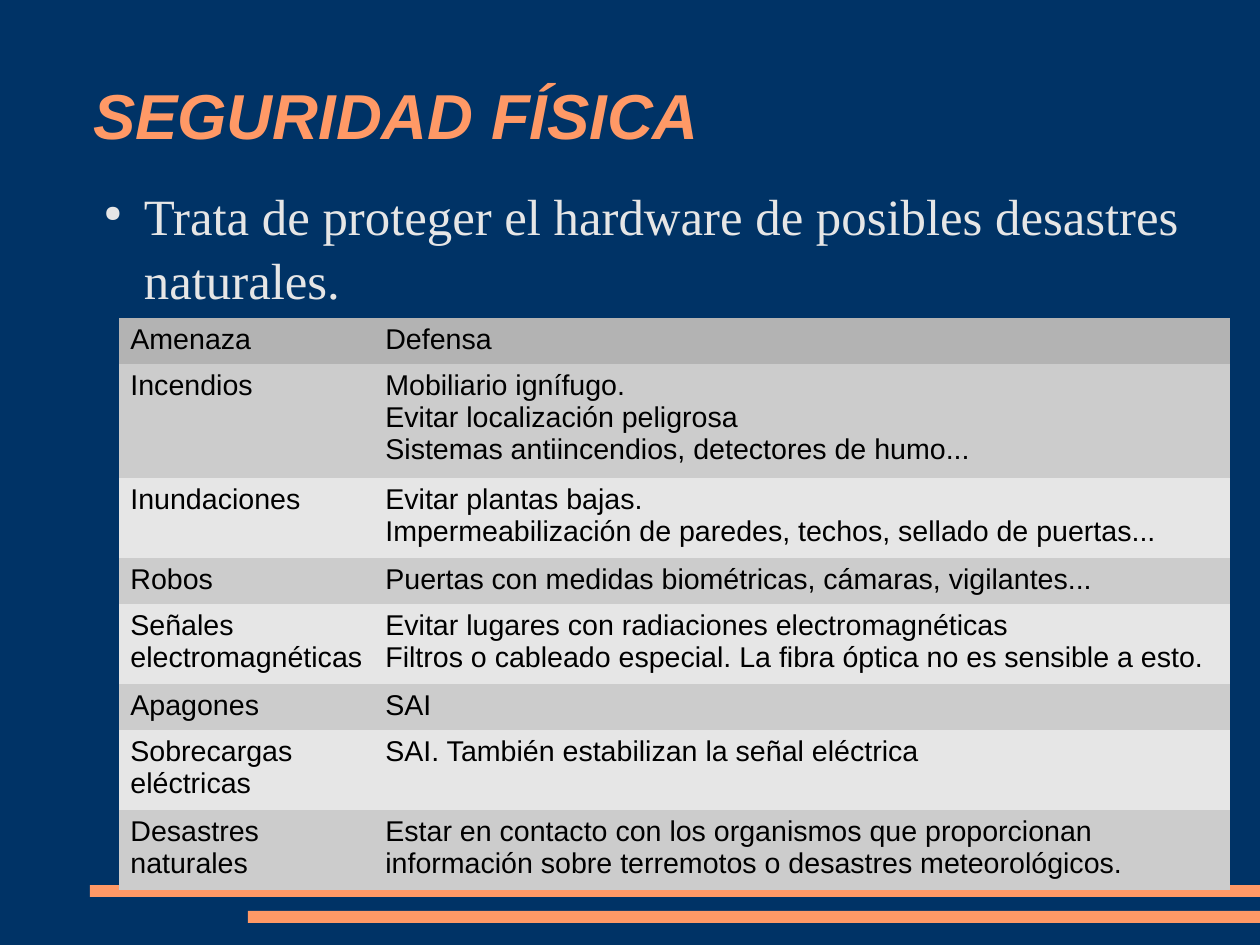
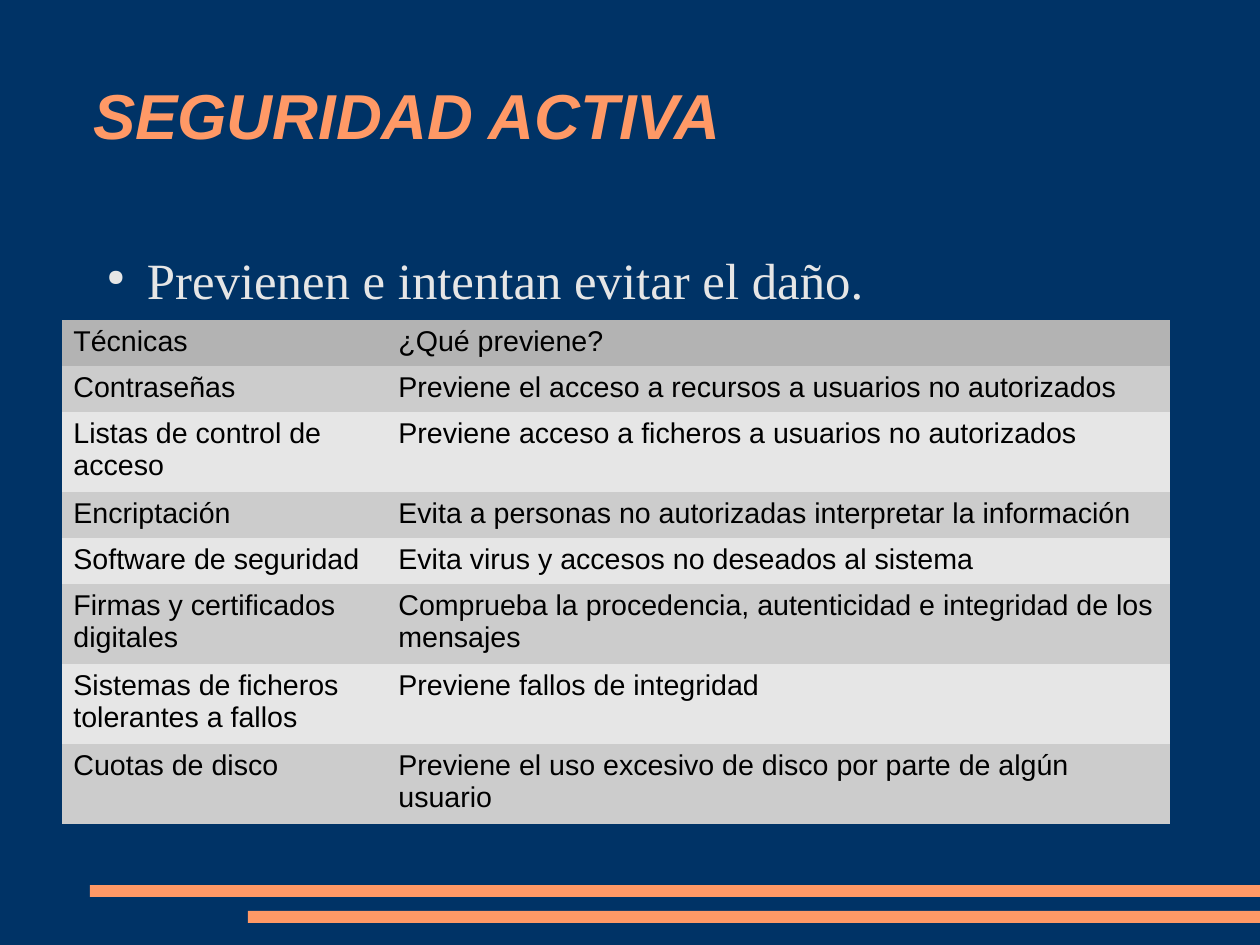
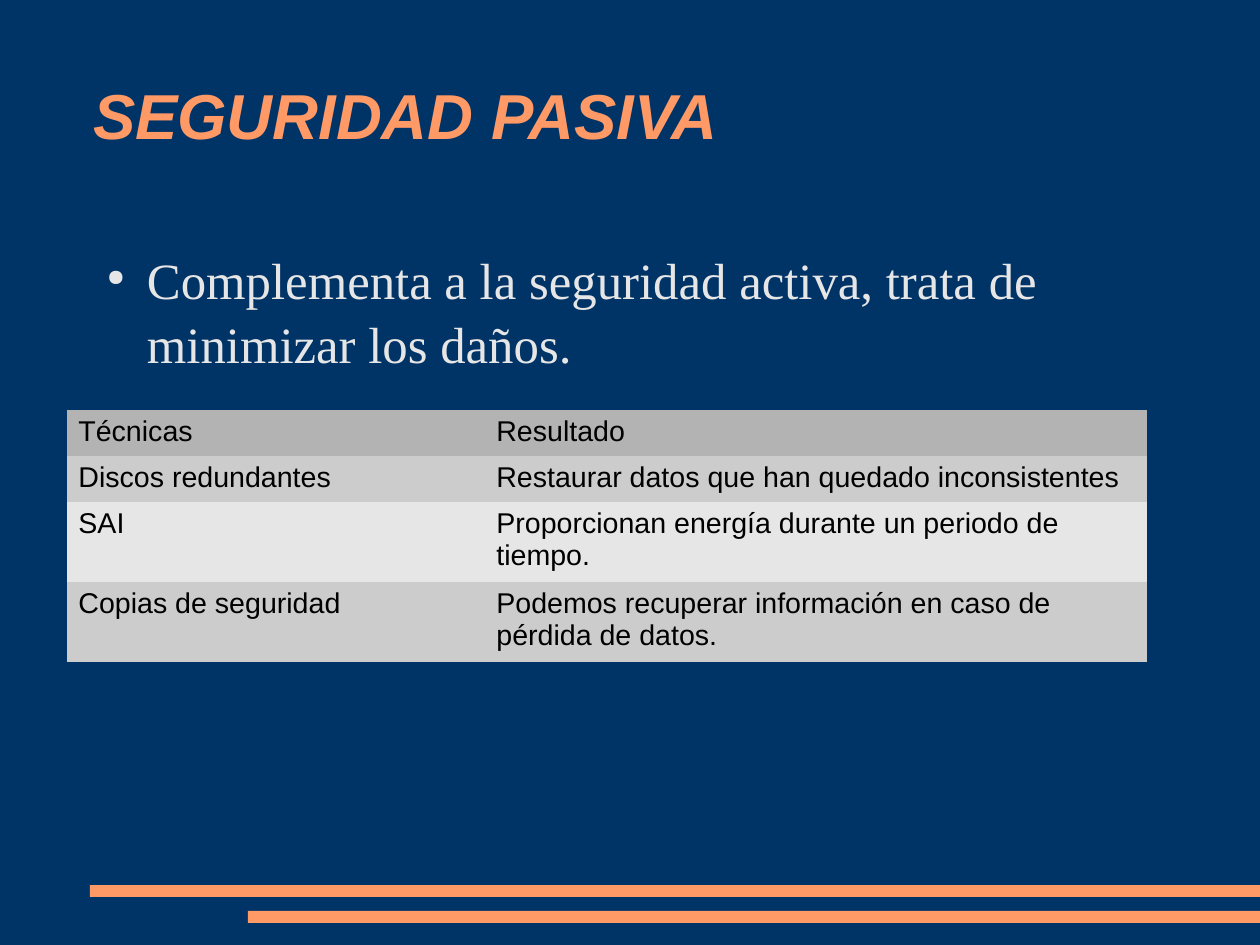
from dataclasses import dataclass

from lxml.etree import SubElement as sub
from pptx import Presentation as Deck
from pptx.dml.color import RGBColor as RGB
from pptx.enum.shapes import MSO_SHAPE as SHAPE
from pptx.enum.text import MSO_ANCHOR as ANCHOR, MSO_AUTO_SIZE as AUTO, PP_ALIGN as ALIGN
from pptx.oxml.ns import qn
from pptx.util import Emu, Pt

WIDE, HIGH = 1260, 945
PLAIN = "{2D5ABB26-0587-4C30-8999-92F81FD0307C}"


@dataclass(frozen=True)
class Theme:
    """Colours, fonts and type sizes of the deck."""
    back: str = "003366"
    warm: str = "FF9966"
    light: str = "E6E6E6"
    mid: str = "CCCCCC"
    head: str = "B3B3B3"
    ink: str = "000000"
    sans: str = "Arial"
    serif: str = "Times New Roman"
    title: int = 40
    body: int = 32
    cell: int = 18


T = Theme()

SLIDES = [
    dict(
        title="SEGURIDAD FÍSICA",
        lead="Trata de proteger el hardware de posibles desastres naturales.",
        spot=(90, 182), grid=(119, 318), cols=(255, 856),
        rows=[
            (1, "Amenaza", "Defensa"),
            (3, "Incendios", "Mobiliario ignífugo.\nEvitar localización peligrosa\n"
                "Sistemas antiincendios, detectores de humo..."),
            (2, "Inundaciones", "Evitar plantas bajas.\n"
                "Impermeabilización de paredes, techos, sellado de puertas..."),
            (1, "Robos", "Puertas con medidas biométricas, cámaras, vigilantes..."),
            (2, "Señales electromagnéticas", "Evitar lugares con radiaciones electromagnéticas\n"
                "Filtros o cableado especial. La fibra óptica no es sensible a esto."),
            (1, "Apagones", "SAI"),
            (2, "Sobrecargas eléctricas", "SAI. También estabilizan la señal eléctrica"),
            (2, "Desastres naturales", "Estar en contacto con los organismos que proporcionan "
                "información sobre terremotos o desastres meteorológicos."),
        ],
    ),
    dict(
        title="SEGURIDAD ACTIVA",
        lead="Previenen e intentan evitar el daño.",
        spot=(93, 246), grid=(62, 320), cols=(325, 783),
        rows=[
            (1, "Técnicas", "¿Qué previene?"),
            (1, "Contraseñas", "Previene el acceso a recursos a usuarios no autorizados"),
            (2, "Listas de control de acceso", "Previene acceso a ficheros a usuarios no autorizados"),
            (1, "Encriptación", "Evita a personas no autorizadas interpretar la información"),
            (1, "Software de seguridad", "Evita virus y accesos no deseados al sistema"),
            (2, "Firmas y certificados digitales",
                "Comprueba la procedencia, autenticidad e integridad de los mensajes"),
            (2, "Sistemas de ficheros tolerantes a fallos", "Previene fallos de integridad"),
            (2, "Cuotas de disco", "Previene el uso excesivo de disco por parte de algún usuario"),
        ],
    ),
    dict(
        title="SEGURIDAD PASIVA",
        lead="Complementa a la seguridad activa, trata de minimizar los daños.",
        spot=(93, 246), grid=(67, 410), cols=(418, 662),
        rows=[
            (1, "Técnicas", "Resultado"),
            (1, "Discos redundantes", "Restaurar datos que han quedado inconsistentes"),
            (2, "SAI", "Proporcionan energía durante un periodo de tiempo."),
            (2, "Copias de seguridad", "Podemos recuperar información en caso de pérdida de datos."),
        ],
    ),
]


def px(num):
    """Turn px into EMU."""
    return Emu(num * 8000)


def paint(fill, tone):
    """Give a fill one solid colour."""
    fill.solid()
    fill.fore_color.rgb = RGB.from_string(tone)


def style(frame, face, size, tone, bold=False, slant=False):
    """Format every run of a text frame."""
    for para in frame.paragraphs:
        for run in para.runs:
            font = run.font
            font.name, font.size = face, Pt(size)
            font.bold, font.italic = bold, slant
            font.color.rgb = RGB.from_string(tone)


def strip(frame):
    """Clear the insets and wrap the text in a fixed box."""
    frame.margin_left = frame.margin_right = frame.margin_top = frame.margin_bottom = 0
    frame.word_wrap = True
    frame.auto_size = AUTO.NONE


def add_bars(slide):
    """Draw the two footer bars, which run to the right edge."""
    for left, top in ((90, 885), (248, 911)):
        bar = slide.shapes.add_shape(SHAPE.RECTANGLE, px(left), px(top), px(WIDE - left), px(12))
        bar.shadow.inherit = False
        paint(bar.fill, T.warm)
        bar.line.fill.background()


def add_title(slide, text):
    """Place and format the title placeholder."""
    box = slide.shapes.title
    box.left, box.top, box.width, box.height = map(px, (93, 41, 1076, 146))
    frame = box.text_frame
    strip(frame)
    frame.vertical_anchor = ANCHOR.MIDDLE
    frame.text = text
    frame.paragraphs[0].alignment = ALIGN.LEFT
    style(frame, T.sans, T.title, T.warm, True, True)


def add_lead(slide, text, spot):
    """Place the bulleted lead sentence."""
    box = slide.shapes.add_textbox(*map(px, (*spot, 1096, 606)))
    frame = box.text_frame
    strip(frame)
    frame.text = text
    para = frame.paragraphs[0]
    para.line_spacing = 1.05
    props = para._p.get_or_add_pPr()
    props.set("marL", str(px(54)))
    props.set("indent", str(px(-40)))
    tint = sub(props, qn("a:buClr"))
    sub(tint, qn("a:srgbClr")).set("val", T.light)
    sub(props, qn("a:buSzPct")).set("val", "45000")
    sub(props, qn("a:buChar")).set("char", "●")
    style(frame, T.serif, T.body, T.light)


def add_grid(slide, rows, spot, cols):
    """Build a banded table whose row heights follow their line counts."""
    tall = [34 * row[0] + 12 for row in rows]
    item = slide.shapes.add_table(len(rows), len(cols), *map(px, (*spot, sum(cols), sum(tall))))
    item.element.find(".//" + qn("a:tableStyleId")).text = PLAIN
    grid = item.table
    grid.first_row = grid.horz_banding = False
    for col, wide in zip(grid.columns, cols):
        col.width = px(wide)
    for pos, (_, *texts) in enumerate(rows):
        grid.rows[pos].height = px(tall[pos])
        tone = (T.light, T.mid)[pos % 2] if pos else T.head
        for cell, text in zip(grid.rows[pos].cells, texts):
            cell.text = text
            paint(cell.fill, tone)
            style(cell.text_frame, T.sans, T.cell, T.ink)


def add_slide(deck, title, lead, spot, grid, cols, rows):
    """Add one slide with a title, a lead sentence and a table."""
    slide = deck.slides.add_slide(deck.slide_layouts[5])
    add_bars(slide)
    add_title(slide, title)
    add_lead(slide, lead, spot)
    add_grid(slide, rows, grid, cols)


def main():
    """Build and save the deck."""
    deck = Deck()
    deck.slide_width, deck.slide_height = px(WIDE), px(HIGH)
    paint(deck.slide_master.background.fill, T.back)
    for data in SLIDES:
        add_slide(deck, **data)
    deck.save("out.pptx")


if __name__ == "__main__":
    main()
